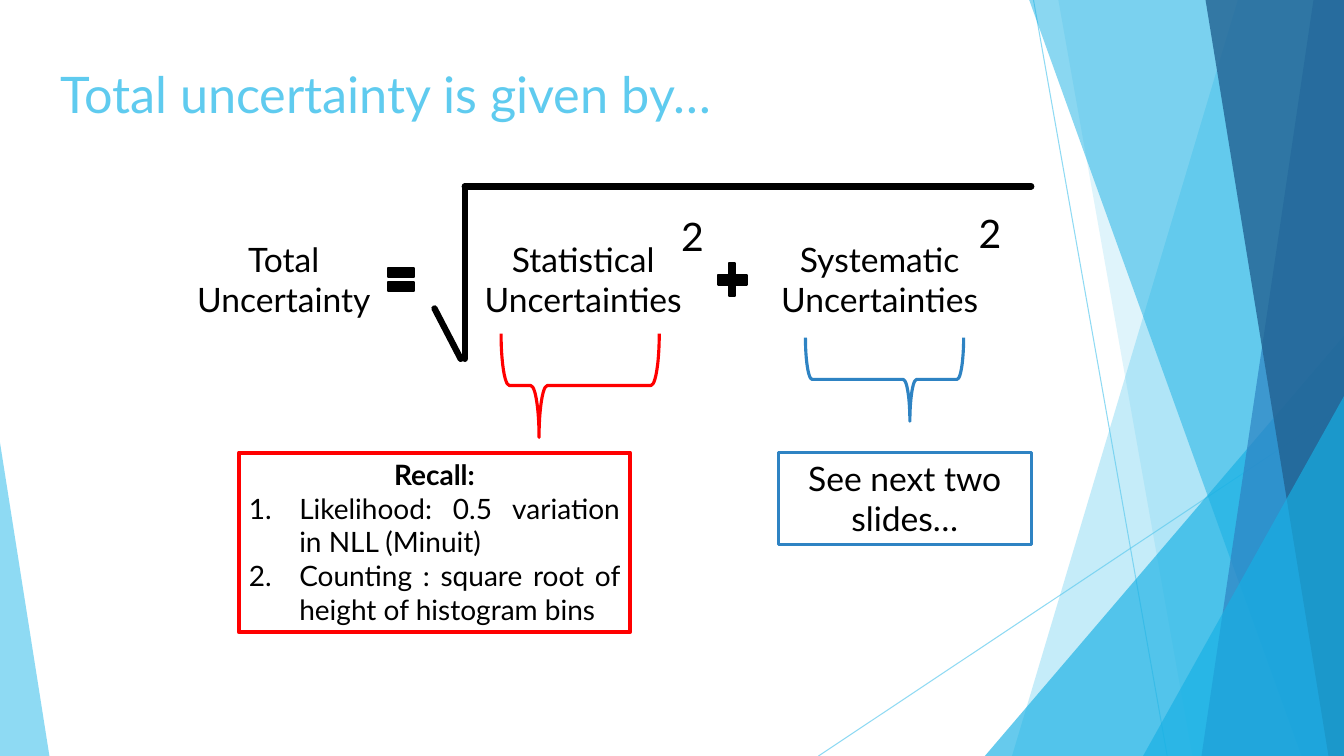
import lxml.etree
import pptx
import pptx.dml.color
import pptx.enum.shapes
import pptx.enum.text
import pptx.oxml.ns
import pptx.util

WIDE = pptx.util.Inches(13.333)
HIGH = pptx.util.Inches(7.5)
KIND = pptx.enum.shapes.MSO_SHAPE
ALIGN = pptx.enum.text.PP_ALIGN
BLACK, WHITE, RED = "000000", "FFFFFF", "FF0000"
SKY, CYAN, BLUE, NAVY = "5FCBEF", "17B0E4", "2E83C3", "226292"


def across(share):
    return round(WIDE * share / 100)


def down(share):
    return round(HIGH * share / 100)


def frame(box):
    left, top, width, height = box
    return across(left), down(top), across(width), down(height)


def paint(part, color):
    part.solid()
    part.fore_color.rgb = pptx.dml.color.RGBColor.from_string(color)


def add_tag(parent, name, **values):
    return lxml.etree.SubElement(parent, pptx.oxml.ns.qn(name), **values)


def fade(shape, alpha):
    for color in shape.element.spPr.iter(pptx.oxml.ns.qn("a:srgbClr")):
        add_tag(color, "a:alpha", val=str(alpha * 1000))


def style(shape, fill=None, line=None, weight=1.5):
    shape.shadow.inherit = False
    if fill:
        paint(shape.fill, fill)
    else:
        shape.fill.background()
    if line:
        paint(shape.line.fill, line)
        shape.line.width = pptx.util.Pt(weight)
    else:
        shape.line.fill.background()


def write(para, text, size=24, color=BLACK, bold=False, align=ALIGN.CENTER, count=False):
    para.alignment = align
    para.space_before = pptx.util.Pt(0)
    props = para._p.get_or_add_pPr()
    indent = pptx.util.Inches(0.5) if count else 0
    props.set("marL", str(indent))
    props.set("indent", str(-indent))
    if count:
        add_tag(props, "a:buFont", typeface="+mj-lt")
        add_tag(props, "a:buAutoNum", type="arabicPeriod")
    else:
        add_tag(props, "a:buNone")
    run = para.add_run()
    run.text = text
    run.font.name = "Lato"
    run.font.size = pptx.util.Pt(size)
    run.font.bold = bold
    paint(run.font.fill, color)


def set_up(shape):
    shape.text_frame.word_wrap = True
    shape.text_frame.auto_size = pptx.enum.text.MSO_AUTO_SIZE.NONE
    shape.text_frame.vertical_anchor = pptx.enum.text.MSO_ANCHOR.TOP
    return shape.text_frame.paragraphs[0]


def holder(shape, box, text, **form):
    shape.left, shape.top, shape.width, shape.height = frame(box)
    write(set_up(shape), text, **form)


def label(slide, box, text, **form):
    write(set_up(slide.shapes.add_textbox(*frame(box))), text, **form)


def block(slide, kind, box, adjust=(), turn=0, **look):
    shape = slide.shapes.add_shape(kind, *frame(box))
    for place, value in enumerate(adjust):
        shape.adjustments[place] = value
    shape.rotation = turn
    style(shape, **look)
    return shape


def stroke(slide, start, end, color, weight, alpha=100):
    line = slide.shapes.add_connector(
        pptx.enum.shapes.MSO_CONNECTOR.STRAIGHT,
        across(start[0]), down(start[1]), across(end[0]), down(end[1]))
    paint(line.line.fill, color)
    line.line.width = pptx.util.Pt(weight)
    line.line._get_or_add_ln().set("cap", "rnd")
    add_tag(line.element.spPr, "a:effectLst")
    fade(line, alpha)


def facet(slide, top, bottom, color, alpha):
    outline = slide.shapes.build_freeform(across(top), 0, scale=1.0)
    outline.add_line_segments([(WIDE, 0), (WIDE, HIGH), (across(bottom), HIGH)], close=True)
    shape = outline.convert_to_shape()
    style(shape, fill=color)
    fade(shape, alpha)


def wedge(slide, box, peak, color, alpha):
    fade(block(slide, KIND.ISOSCELES_TRIANGLE, box, adjust=[peak], fill=color), alpha)


def backdrop(slide):
    stroke(slide, (76.9, 0), (86.85, 100), SKY, 0.75, 70)
    stroke(slide, (100, 53.73), (60.9, 100), SKY, 0.75, 70)
    facet(slide, 92.1, 75.3, SKY, 36)
    facet(slide, 78.75, 88.73, SKY, 20)
    wedge(slide, (73.28, 44.4, 26.72, 55.6), 1, CYAN, 66)
    facet(slide, 76.58, 96.83, CYAN, 50)
    facet(slide, 97.73, 89.4, BLUE, 70)
    facet(slide, 89.7, 98.85, NAVY, 80)
    wedge(slide, (85.05, 52.4, 14.95, 47.6), 1, CYAN, 66)
    wedge(slide, (0, 58.53, 3.68, 41.47), 0, SKY, 70)


def formula(slide):
    holder(slide.placeholders[1], (33.98, 30.93, 18.83, 16.67), "Statistical Uncertainties")
    label(slide, (13.35, 30.93, 15.53, 12.13), "Total Uncertainty")
    label(slide, (56.03, 30.93, 18.83, 12.13), "Systematic Uncertainties")
    block(slide, KIND.MATH_EQUAL, (28.5, 34.4, 2.7, 5.2), fill=BLACK, line=BLACK)
    block(slide, KIND.CROSS, (53.4, 34.8, 2.18, 4.4), adjust=[0.4], fill=BLACK, line=BLACK)
    for left, top in ((49.95, 27.47), (72.08, 27.07)):
        label(slide, (left, top, 5.55, 7.6), "2", size=28, align=ALIGN.LEFT)
    for start, end in (((76.73, 24.67), (34.58, 24.67)),
                       ((34.58, 47.47), (34.58, 24.93)),
                       ((34.28, 47.47), (32.33, 40.8))):
        stroke(slide, start, end, BLACK, 4.5)


def remarks(slide):
    block(slide, KIND.RIGHT_BRACE, (39.3, 40.53, 7.73, 20.93),
          adjust=[0.08, 0.76], turn=90, line=RED, weight=2.25)
    block(slide, KIND.RIGHT_BRACE, (62.7, 39.73, 6.23, 20.93),
          adjust=[0.08, 0.34], turn=90, line=BLUE, weight=2.25)
    recall = block(slide, KIND.RECTANGLE, (17.78, 59.87, 29.1, 23.73), line=RED, weight=3)
    write(set_up(recall), "Recall:", size=20, bold=True)
    for text in ("Likelihood: 0.5 variation in NLL (Minuit)",
                 "Counting : square root of height of histogram bins"):
        write(recall.text_frame.add_paragraph(), text, size=20, align=ALIGN.JUSTIFY, count=True)
    later = block(slide, KIND.RECTANGLE, (57.9, 59.87, 18.83, 12.13),
                  fill=WHITE, line=BLUE, weight=2.25)
    write(set_up(later), "See next two slides…")


def main():
    deck = pptx.Presentation()
    deck.slide_width, deck.slide_height = WIDE, HIGH
    slide = deck.slides.add_slide(deck.slide_layouts[1])
    paint(slide.background.fill, WHITE)
    backdrop(slide)
    holder(slide.shapes.title, (3.75, 7.73, 70.5, 11.6),
           "Total uncertainty is given by…", size=36, color=SKY, align=ALIGN.LEFT)
    formula(slide)
    remarks(slide)
    deck.save("out.pptx")


if __name__ == "__main__":
    main()
